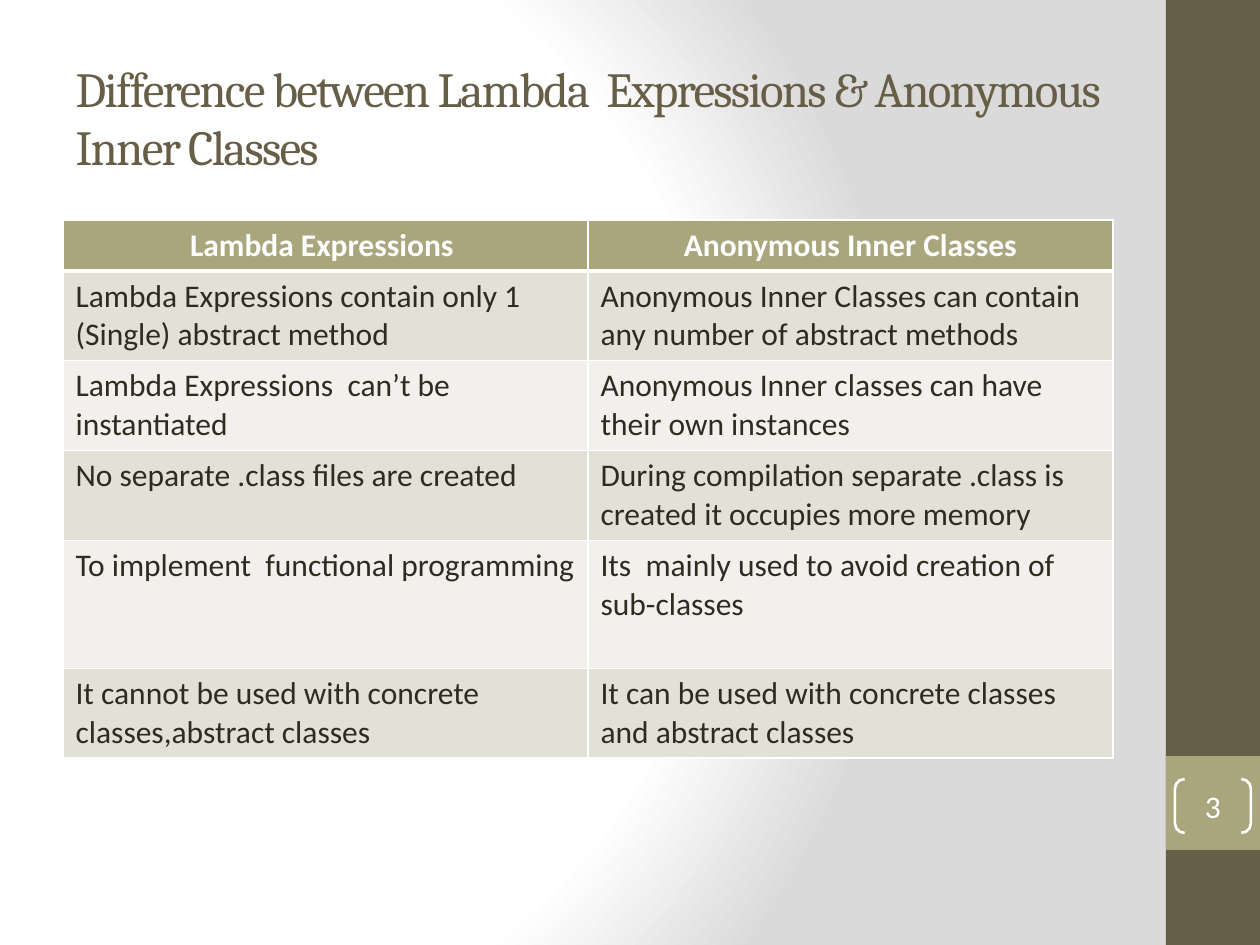
from lxml import etree
from pptx import Presentation
from pptx.dml.color import RGBColor
from pptx.enum.shapes import MSO_SHAPE
from pptx.enum.text import MSO_ANCHOR, MSO_AUTO_SIZE, PP_ALIGN
from pptx.oxml import parse_xml
from pptx.oxml.ns import qn
from pptx.util import Pt

RECTANGLE, BRACKETS = MSO_SHAPE.RECTANGLE, MSO_SHAPE.DOUBLE_BRACKET
LEFT, CENTER = PP_ALIGN.LEFT, PP_ALIGN.CENTER
MIDDLE = MSO_ANCHOR.MIDDLE
NO_FIT = MSO_AUTO_SIZE.NONE
PIXEL = 914400 // 126
COLORS = {
    "brown": "675E47", "olive": "A9A57C", "white": "FFFFFF", "ink": "2F2B20",
    "dark_band": "E2E1D7", "light_band": "F1F0EC", "gray": "DADADA",
}
ROWS = [
    ("Lambda Expressions ", "Anonymous Inner Classes"),
    ("Lambda Expressions contain only 1 (Single) abstract method  ",
     "Anonymous Inner Classes can contain any number of abstract methods"),
    ("Lambda Expressions  can’t be instantiated",
     "Anonymous Inner classes can have their own instances"),
    ("No separate .class files are created ",
     "During compilation separate .class is created it occupies more memory"),
    ("To implement  functional programming ",
     "Its  mainly used to avoid creation of sub-classes"),
    ("It cannot be used with concrete classes,abstract classes",
     "It can be used with concrete classes and abstract classes"),
]
ROW_HEIGHTS = [51, 89, 90, 90, 128, 89]


def color(name):
    return RGBColor.from_string(COLORS[name])


class SlideBuilder:
    heading_font = "Cambria"
    body_font = "Calibri"
    body_size = 18

    def __init__(self, slide):
        self.slide = slide

    def background(self, stops):
        marks = "".join(
            f'<a:gs pos="{position * 1000}"><a:srgbClr val="{COLORS[name]}"/></a:gs>'
            for position, name in stops)
        self.slide.background.fill.solid()
        properties = self.slide.element.cSld.find(qn("p:bg")).find(qn("p:bgPr"))
        gradient = parse_xml(
            '<a:gradFill xmlns:a="http://schemas.openxmlformats.org/drawingml/2006/main" '
            f'rotWithShape="1"><a:gsLst>{marks}</a:gsLst><a:path path="circle">'
            '<a:fillToRect l="20000" t="50000" r="100000" b="50000"/></a:path></a:gradFill>')
        properties.replace(properties.find(qn("a:solidFill")), gradient)

    def add_text(self, frame, text, ink, align=LEFT, size=body_size, font=body_font, bold=False):
        paragraph = frame.paragraphs[0]
        paragraph.alignment = align
        run = paragraph.add_run()
        run.text = text
        run.font.name = font
        run.font.size = Pt(size)
        run.font.bold = bold
        run.font.color.rgb = color(ink)
        return run

    def title(self, text, *box):
        shape = self.slide.shapes.title
        shape.left, shape.top, shape.width, shape.height = [n * PIXEL for n in box]
        frame = shape.text_frame
        frame.word_wrap = True
        frame.auto_size = NO_FIT
        frame.vertical_anchor = MIDDLE
        run = self.add_text(frame, text, "brown", size=28, font=self.heading_font)
        run._r.get_or_add_rPr().set("spc", "-100")

    def shape(self, kind, *box, fill=None, line=None):
        shape = self.slide.shapes.add_shape(kind, *[n * PIXEL for n in box])
        shape.shadow.inherit = False
        if fill:
            shape.fill.solid()
            shape.fill.fore_color.rgb = color(fill)
        else:
            shape.fill.background()
        if line:
            shape.line.color.rgb = color(line)
            shape.line.width = Pt(1.5)
        else:
            shape.line.fill.background()
        return shape

    def page_number(self, text, *box):
        shape = self.shape(BRACKETS, *box, line="white")
        shape.adjustments[0] = 0.18
        frame = shape.text_frame
        frame.margin_left = frame.margin_right = frame.margin_top = frame.margin_bottom = 0
        frame.vertical_anchor = MIDDLE
        self.add_text(frame, text, "white", CENTER)

    def border(self, cell, side, points):
        properties = cell._tc.get_or_add_tcPr()
        line = etree.SubElement(properties, qn(f"a:ln{side}"), w=str(Pt(points)))
        fill = etree.SubElement(line, qn("a:solidFill"))
        etree.SubElement(fill, qn("a:srgbClr"), val=COLORS["white"])

    def table(self, rows, heights, left, top, width):
        columns = len(rows[0])
        table = self.slide.shapes.add_table(
            len(rows), columns, left * PIXEL, top * PIXEL,
            width * PIXEL, sum(heights) * PIXEL).table
        for column in table.columns:
            column.width = width * PIXEL // columns
        for index, (texts, height) in enumerate(zip(rows, heights)):
            header = index == 0
            band = "olive" if header else "dark_band" if index % 2 else "light_band"
            table.rows[index].height = height * PIXEL
            for cell, text in zip(table.rows[index].cells, texts):
                widths = {"L": 1, "R": 1, "T": 3 if index == 1 else 1, "B": 3 if header else 1}
                for side, points in widths.items():
                    self.border(cell, side, points)
                cell.fill.solid()
                cell.fill.fore_color.rgb = color(band)
                self.add_text(cell.text_frame, text, "white" if header else "ink",
                              CENTER if header else LEFT, bold=header)


presentation = Presentation()
presentation.slide_width = 1260 * PIXEL
presentation.slide_height = 945 * PIXEL
builder = SlideBuilder(presentation.slides.add_slide(presentation.slide_layouts[5]))
builder.background([(0, "white"), (75, "white"), (100, "gray")])
builder.shape(RECTANGLE, 1166, 0, 94, 945, fill="brown")
builder.shape(RECTANGLE, 1166, 756, 94, 94, fill="olive")
builder.title("Difference between Lambda  Expressions & Anonymous Inner Classes", 63, 38, 1050, 158)
builder.table(ROWS, ROW_HEIGHTS, 63, 220, 1050)
builder.page_number("3", 1175, 779, 76, 54)
presentation.save("out.pptx")
